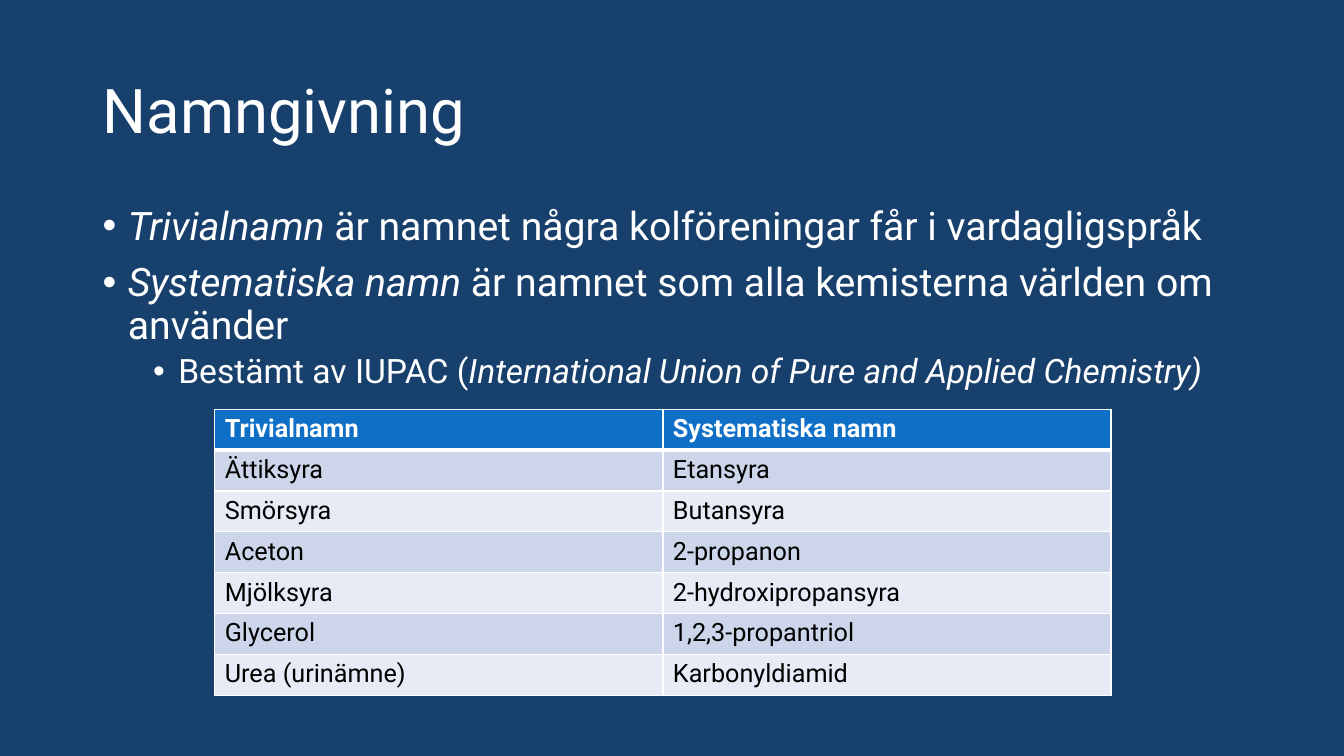
import pptx
import pptx.util
import pptx.dml.color
import pptx.enum.text
import pptx.oxml.ns
from lxml import etree

Inches, Pt = pptx.util.Inches, pptx.util.Pt
FONT = "Roboto"
COLORS = {
    "background": "17406D",
    "white": "FFFFFF",
    "black": "000000",
    "header": "0F6FC6",
    "odd": "CCD5EA",
    "even": "E7EBF5",
}

# Each bullet: level, then (text, italic) runs
BULLETS = [
    (0, [("Trivialnamn", True),
         (" är namnet några kolföreningar får i vardagligspråk", False)]),
    (0, [("Systematiska namn", True),
         (" är namnet som alla kemisterna världen om använder", False)]),
    (1, [("Bestämt av IUPAC (", False),
         ("International Union of Pure and Applied Chemistry)", True)]),
]
LEVEL_SIZE = [28, 24]
LEVEL_SPACE = [10, 5]

NAMES = [
    ("Trivialnamn", "Systematiska namn"),
    ("Ättiksyra", "Etansyra"),
    ("Smörsyra", "Butansyra"),
    ("Aceton", "2-propanon"),
    ("Mjölksyra", "2-hydroxipropansyra"),
    ("Glycerol", "1,2,3-propantriol"),
    ("Urea (urinämne)", "Karbonyldiamid"),
]


def rgb(name):
    return pptx.dml.color.RGBColor.from_string(COLORS[name])


def add_run(p, text, size, color="white", bold=False, italic=False):
    r = p.add_run()
    r.text = text
    r.font.name = FONT
    r.font.size = Pt(size)
    r.font.bold = bold
    r.font.italic = italic
    r.font.color.rgb = rgb(color)


def sub(parent, tag, **attrs):
    return etree.SubElement(parent, pptx.oxml.ns.qn(tag), attrs)


def add_title(s, text):
    sp = s.shapes.title
    sp.left, sp.top = Inches(0.92), Inches(0.4)
    sp.width, sp.height = Inches(11.5), Inches(1.45)
    tf = sp.text_frame
    tf.vertical_anchor = pptx.enum.text.MSO_ANCHOR.MIDDLE
    p = tf.paragraphs[0]
    p.alignment = pptx.enum.text.PP_ALIGN.LEFT
    p.line_spacing = 0.9
    add_run(p, text, 44)


def add_bullets(s, bullets):
    sp = s.shapes.add_textbox(Inches(0.92), Inches(2), Inches(11.5), Inches(4.76))
    tf = sp.text_frame
    tf.word_wrap = True
    for i, (level, runs) in enumerate(bullets):
        p = tf.add_paragraph() if i else tf.paragraphs[0]
        p.level = level
        pPr = p._p.get_or_add_pPr()
        pPr.set("marL", str(Inches(0.25 + 0.5 * level)))
        pPr.set("indent", str(Inches(-0.25)))
        sub(pPr, "a:buFont", typeface="Arial")
        sub(pPr, "a:buChar", char="•")
        p.line_spacing = 0.9
        p.space_before = Pt(LEVEL_SPACE[level] if i else 0)
        for text, italic in runs:
            add_run(p, text, LEVEL_SIZE[level], italic=italic)


def set_borders(cell, top, bottom):
    tcPr = cell._tc.get_or_add_tcPr()
    for side, width in (("L", 1), ("R", 1), ("T", top), ("B", bottom)):
        ln = sub(tcPr, "a:ln" + side, w=str(Pt(width)))
        sub(sub(ln, "a:solidFill"), "a:srgbClr", val=COLORS["white"])


def add_names_table(s, rows):
    table = s.shapes.add_table(len(rows), 2, Inches(2.13), Inches(4.06),
                               Inches(8.89), Inches(2.84)).table
    for i, row in enumerate(rows):
        header = i == 0
        fill = "header" if header else "odd" if i % 2 else "even"
        for j, text in enumerate(row):
            cell = table.cell(i, j)
            # The line under the header is thicker
            set_borders(cell, 3 if i == 1 else 1, 3 if header else 1)
            cell.fill.solid()
            cell.fill.fore_color.rgb = rgb(fill)
            add_run(cell.text_frame.paragraphs[0], text, 18,
                    "white" if header else "black", bold=header)


def main():
    prs = pptx.Presentation()
    prs.slide_width, prs.slide_height = Inches(13.33), Inches(7.5)
    s = prs.slides.add_slide(prs.slide_layouts[5])
    s.background.fill.solid()
    s.background.fill.fore_color.rgb = rgb("background")

    add_title(s, "Namngivning")
    add_bullets(s, BULLETS)
    add_names_table(s, NAMES)
    prs.save("out.pptx")


if __name__ == "__main__":
    main()
